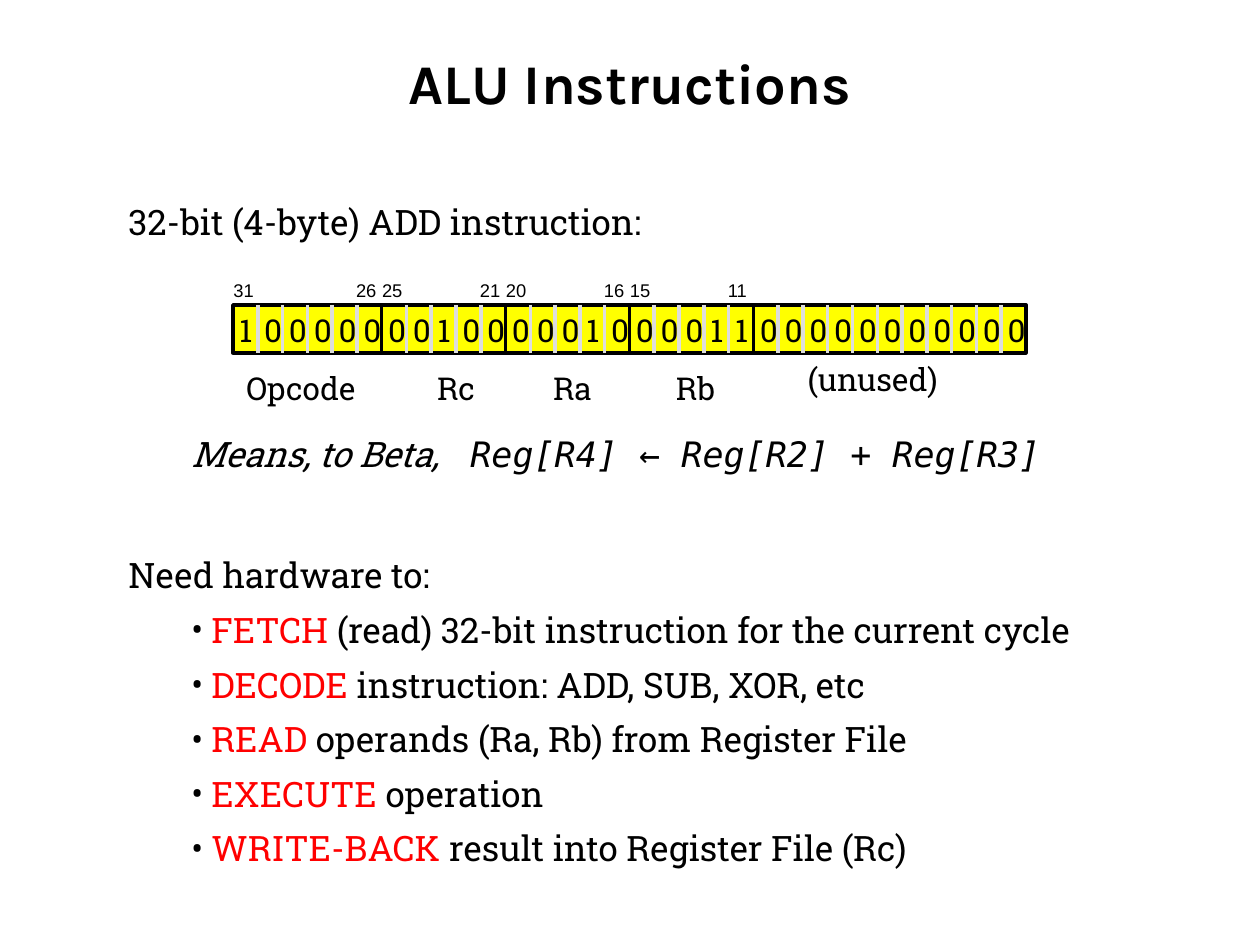
from dataclasses import dataclass

from lxml.etree import SubElement
from pptx import Presentation
from pptx.dml.color import RGBColor
from pptx.enum.shapes import MSO_CONNECTOR, MSO_SHAPE
from pptx.enum.text import MSO_ANCHOR, MSO_AUTO_SIZE, PP_ALIGN
from pptx.oxml.ns import qn
from pptx.util import Pt

EMU_PER_PX = 914400 / 126


@dataclass(frozen=True)
class Theme:
    ink: str = "000000"
    accent: str = "FF0000"
    strip: str = "FFFF00"
    bit_rule: str = "DDDDDD"
    title_font: str = "Karla"
    body_font: str = "Roboto Slab"
    code_font: str = "DejaVu Sans Mono"
    index_font: str = "Arial"
    title_size: float = 32
    body_size: float = 20
    bit_size: float = 18
    index_size: float = 10.5
    rule_width: float = 2


THEME = Theme()

# name, bits, label offset from the field's left edge, label top, label width
FIELDS = [
    ("Opcode", "100000", 1, 62, 141),
    ("Rc", "00100", 43, 62, 64),
    ("Ra", "00010", 35, 62, 68),
    ("Rb", "00011", 34, 62, 68),
    ("(unused)", "00000000000", 42, 53, 161),
]

STEPS = [
    ("FETCH", " (read) 32-bit instruction for the current cycle"),
    ("DECODE", " instruction: ADD, SUB, XOR, etc"),
    ("READ", " operands (Ra, Rb) from Register File"),
    ("EXECUTE", " operation"),
    ("WRITE-BACK", " result into Register File (Rc)"),
]


def px(length):
    return round(length * EMU_PER_PX)


def rgb(color):
    return RGBColor.from_string(color)


def add_bullet(paragraph, margin, hang):
    props = paragraph._p.get_or_add_pPr()
    props.set("marL", str(px(margin)))
    props.set("indent", str(-px(hang)))
    bullet_color = SubElement(props, qn("a:buClr"))
    SubElement(bullet_color, qn("a:srgbClr"), val=THEME.ink)
    SubElement(props, qn("a:buFont"), typeface=THEME.body_font)
    SubElement(props, qn("a:buChar"), char="•")


def add_tab(paragraph, position):
    tabs = SubElement(paragraph._p.get_or_add_pPr(), qn("a:tabLst"))
    SubElement(tabs, qn("a:tab"), pos=str(px(position)), algn="l")


def add_text(slide, box, text, font=THEME.body_font, size=THEME.body_size, bold=False,
             italic=False, align=PP_ALIGN.LEFT, anchor=MSO_ANCHOR.TOP, spacing=0.9,
             wrap=False, tab=None, bullet=None):
    """Text is a string or a list of paragraphs, each a list of (run, overrides).

    A bullet, given as (margin, hang), applies to all paragraphs after the first.
    """
    frame = slide.shapes.add_textbox(*map(px, box)).text_frame
    frame.word_wrap = wrap
    frame.auto_size = MSO_AUTO_SIZE.NONE if wrap else MSO_AUTO_SIZE.SHAPE_TO_FIT_TEXT
    frame.vertical_anchor = anchor
    content = [[(text, {})]] if isinstance(text, str) else text
    for number, runs in enumerate(content):
        paragraph = frame.add_paragraph() if number else frame.paragraphs[0]
        if bullet and number:
            add_bullet(paragraph, *bullet)
        if tab:
            add_tab(paragraph, tab)
        paragraph.alignment = align
        paragraph.line_spacing = spacing
        for words, overrides in runs:
            run = paragraph.add_run()
            run.text = words
            run.font.name = overrides.get("font", font)
            run.font.size = Pt(size)
            run.font.bold = bold
            run.font.italic = overrides.get("italic", italic)
            run.font.color.rgb = rgb(overrides.get("color", THEME.ink))


def add_rule(shapes, x, top, bottom, color):
    rule = shapes.add_connector(MSO_CONNECTOR.STRAIGHT, px(x), px(top), px(x), px(bottom))
    rule.line.color.rgb = rgb(color)
    rule.line.width = Pt(THEME.rule_width)
    SubElement(rule._element.spPr, qn("a:effectLst"))


def add_strip(slide, box, edges, bit_count):
    """Yellow word with a rule at each bit, black at the field edges."""
    left, top, width, height = box
    strip = slide.shapes.add_group_shape().shapes
    word = strip.add_shape(MSO_SHAPE.RECTANGLE, *map(px, box))
    word.shadow.inherit = False
    word.fill.solid()
    word.fill.fore_color.rgb = rgb(THEME.strip)
    word.line.color.rgb = rgb(THEME.ink)
    word.line.width = Pt(THEME.rule_width)
    for bit in range(bit_count + 1):
        color = THEME.ink if bit in edges else THEME.bit_rule
        add_rule(strip, left + bit * width / bit_count, top, top + height, color)


def add_instruction_word(slide, box):
    left, top, width, _ = box
    bits = "".join(field[1] for field in FIELDS)
    pitch = width / len(bits)
    starts = [sum(len(field[1]) for field in FIELDS[:n]) for n in range(len(FIELDS) + 1)]
    add_strip(slide, box, starts, len(bits))

    # Bit values
    for position, bit in enumerate(bits):
        add_text(slide, (left + position * pitch - 6, top + 4, 45, 48), bit,
                 size=THEME.bit_size)

    # Field names, with the highest and lowest bit numbers of the used fields
    for start, end, (name, _, offset, label_top, label_width) in zip(starts, starts[1:], FIELDS):
        field_left = left + start * pitch
        add_text(slide, (field_left + offset, top + label_top, label_width, 48), name,
                 size=THEME.bit_size)
        if name == "(unused)":
            continue
        high, low = len(bits) - 1 - start, len(bits) - end
        for number, x in ((high, field_left - 12), (low, left + end * pitch - 38)):
            add_text(slide, (x, top - 32, 47, 37), str(number),
                     font=THEME.index_font, size=THEME.index_size, spacing=1.0)


def add_meaning(slide, box):
    code = {"font": THEME.code_font}
    add_text(slide, box, [[
        ("Means, to Beta,\t", {}),
        ("Reg[R4] ", code),
        ("← ", {**code, "italic": False}),
        ("Reg[R2] + Reg[R3]", code),
    ]], italic=True, tab=279)


def add_hardware_steps(slide, box):
    steps = [[(step, {"color": THEME.accent}), (detail, {})] for step, detail in STEPS]
    add_text(slide, box, [[("Need hardware to:", {})], *steps], spacing=1.3, bullet=(83, 20))


def main():
    deck = Presentation()
    deck.slide_width, deck.slide_height = px(1260), px(945)
    slide = deck.slides.add_slide(deck.slide_layouts[6])

    # Heading
    add_text(slide, (63, 38, 1134, 88), "ALU Instructions", font=THEME.title_font,
             size=THEME.title_size, bold=True, align=PP_ALIGN.CENTER,
             anchor=MSO_ANCHOR.MIDDLE, spacing=1.0, wrap=True)

    # Instruction encoding
    add_text(slide, (116, 199, 576, 52), "32-bit (4-byte) ADD instruction:")
    add_instruction_word(slide, (233, 305, 793, 48))
    add_meaning(slide, (179, 431, 882, 52))

    # Required hardware
    add_hardware_steps(slide, (116, 535, 1028, 341))

    deck.save("out.pptx")


if __name__ == "__main__":
    main()
